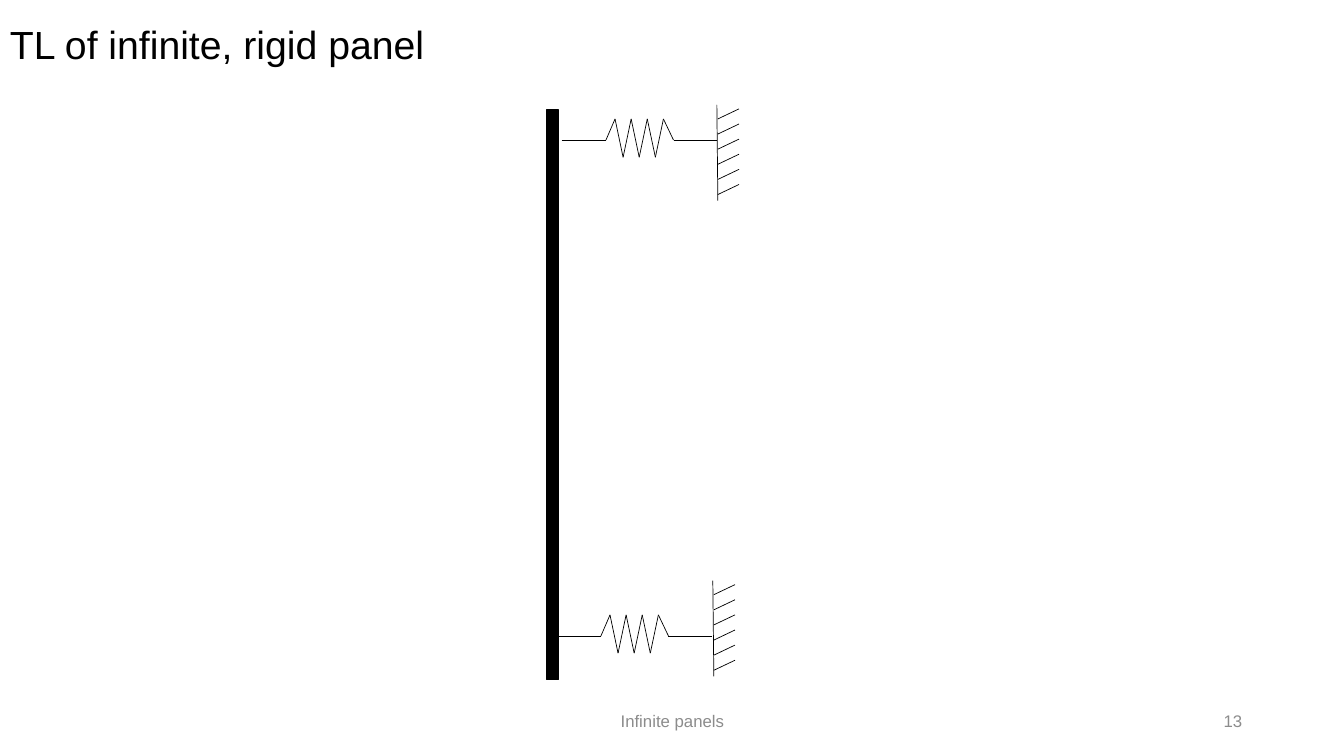
import pptx
import pptx.util
import pptx.dml.color
import pptx.enum.shapes
import pptx.enum.text
import lxml.etree
import dataclasses
import itertools

Inches = pptx.util.Inches
Pt = pptx.util.Pt
Color = pptx.dml.color.RGBColor
Align = pptx.enum.text.PP_ALIGN


@dataclasses.dataclass(frozen=True)
class Theme:
    font: str = "Arial"
    ink: Color = Color(0, 0, 0)
    gray: Color = Color(0x8C, 0x8C, 0x8C)
    head: float = 28
    foot: float = 12
    thin: float = 0.5
    edge: float = 1


THEME = Theme()


def add_text(slide, text, box, size, color, align, space=1.0):
    frame = slide.shapes.add_textbox(*map(Inches, box)).text_frame
    frame.word_wrap = True
    frame.vertical_anchor = pptx.enum.text.MSO_ANCHOR.MIDDLE
    para = frame.paragraphs[0]
    para.alignment = align
    para.line_spacing = space
    run = para.add_run()
    run.text = text
    run.font.name = THEME.font
    run.font.size = Pt(size)
    run.font.color.rgb = color


def add_panel(slide, box):
    kind = pptx.enum.shapes.MSO_SHAPE.RECTANGLE
    panel = slide.shapes.add_shape(kind, *map(Inches, box))
    panel.shadow.inherit = False
    panel.fill.solid()
    panel.fill.fore_color.rgb = THEME.ink
    panel.line.color.rgb = THEME.ink
    panel.line.width = Pt(THEME.edge)


def add_line(group, start, end):
    kind = pptx.enum.shapes.MSO_CONNECTOR.STRAIGHT
    line = group.shapes.add_connector(kind, *map(Inches, (*start, *end)))
    line.line.color.rgb = THEME.ink
    line.line.width = Pt(THEME.thin)
    props = line._element.spPr
    lxml.etree.SubElement(props, pptx.oxml.ns.qn("a:effectLst"))


def add_spring(slide, left, mid):
    group = slide.shapes.add_group_shape()
    coil = [(0.53 + 0.08 * i, 0.17 if i % 2 else -0.21) for i in range(7)]
    steps = [(0, 0), (0.44, 0), *coil, (1.11, 0), (1.54, 0)]
    points = [(left + x, mid + y) for x, y in steps]
    for start, end in itertools.pairwise(points):
        add_line(group, start, end)


def add_wall(slide, left, top):
    group = slide.shapes.add_group_shape()
    add_line(group, (left, top), (left + 0.01, top + 0.95))
    for i in range(6):
        y = top + 0.14 + 0.15 * i
        add_line(group, (left + 0.01, y), (left + 0.22, y - 0.1))


def main():
    deck = pptx.Presentation()
    deck.slide_width = Inches(13.33)
    deck.slide_height = Inches(7.5)
    slide = deck.slides.add_slide(deck.slide_layouts[6])
    add_text(slide, "TL of infinite, rigid panel", (0, 0, 13.33, 0.93),
             THEME.head, THEME.ink, Align.LEFT, 0.9)
    add_text(slide, "Infinite panels", (4.42, 6.95, 4.5, 0.4),
             THEME.foot, THEME.gray, Align.CENTER)
    add_text(slide, "13", (9.42, 6.95, 3, 0.4),
             THEME.foot, THEME.gray, Align.RIGHT)
    add_panel(slide, (5.42, 1.09, 0.12, 5.65))
    add_spring(slide, 5.57, 1.39)
    add_wall(slide, 7.11, 1.04)
    add_spring(slide, 5.52, 6.31)
    add_wall(slide, 7.07, 5.76)
    deck.save("out.pptx")


if __name__ == "__main__":
    main()
